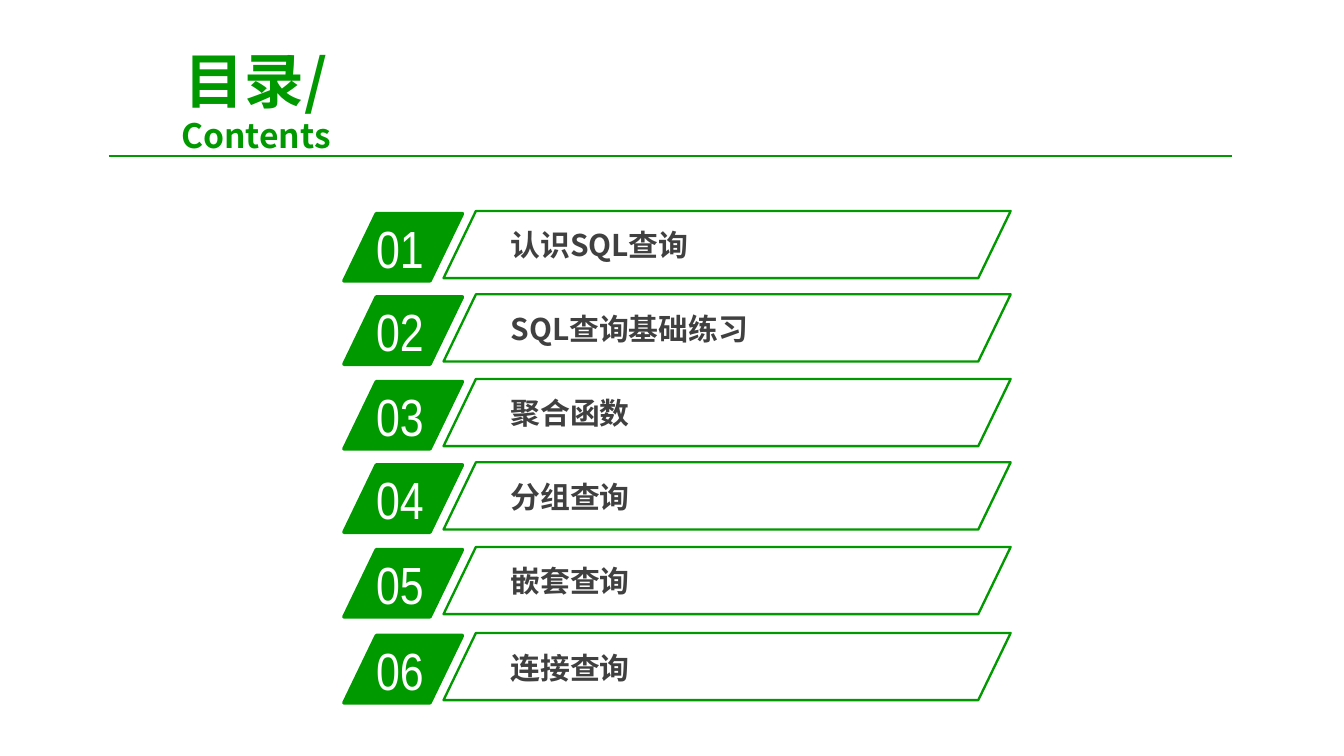
from lxml import etree
from pptx import Presentation
from pptx.dml.color import RGBColor
from pptx.enum.shapes import MSO_CONNECTOR, MSO_SHAPE
from pptx.enum.text import MSO_ANCHOR, PP_ALIGN
from pptx.oxml.ns import qn
from pptx.util import Inches, Pt

PARALLELOGRAM = MSO_SHAPE.PARALLELOGRAM
STRAIGHT = MSO_CONNECTOR.STRAIGHT
CENTER, LEFT = PP_ALIGN.CENTER, PP_ALIGN.LEFT
MIDDLE, TOP = MSO_ANCHOR.MIDDLE, MSO_ANCHOR.TOP

GREEN, WHITE, DARK = "009900", "FFFFFF", "404040"
CJK_FONT, NUMBER_FONT = "Noto Sans CJK SC", "Arial Narrow"
SLANT = 0.482

# Topic and the top of its bar
TOPICS = [
    ("认识SQL查询", 1.57),
    ("SQL查询基础练习", 2.19),
    ("聚合函数", 2.82),
    ("分组查询", 3.44),
    ("嵌套查询", 4.07),
    ("连接查询", 4.71),
]


def color(value):
    return RGBColor.from_string(value)


def style_run(run, size, font, fill, bold):
    run.font.size = Pt(size)
    run.font.name = font
    run.font.bold = bold
    run.font.color.rgb = color(fill)
    east_asian = etree.SubElement(run.font._element, qn("a:ea"))
    east_asian.set("typeface", font)


def add_text(shapes, lines, left, top, width, height, *, font, fill, bold=False,
             align=LEFT, anchor=TOP, inset=(0.1, 0.05), before=None):
    """Write (text, size) lines as one paragraph with line breaks."""
    box = shapes.add_textbox(Inches(left), Inches(top), Inches(width), Inches(height))
    frame = box.text_frame
    frame.word_wrap = True
    frame.vertical_anchor = anchor
    frame.margin_left = frame.margin_right = Inches(inset[0])
    frame.margin_top = frame.margin_bottom = Inches(inset[1])
    paragraph = frame.paragraphs[0]
    paragraph.alignment = align
    paragraph.space_before = before
    for index, (text, size) in enumerate(lines):
        if index:
            paragraph.add_line_break()
        run = paragraph.add_run()
        run.text = text
        style_run(run, size, font, fill, bold)


def add_parallelogram(shapes, left, top, width, height, line_width, fill=None):
    shape = shapes.add_shape(PARALLELOGRAM, Inches(left), Inches(top),
                             Inches(width), Inches(height))
    shape.adjustments[0] = SLANT
    shape.shadow.inherit = False
    shape.line.color.rgb = color(GREEN)
    shape.line.width = Pt(line_width)
    if fill:
        shape.fill.solid()
        shape.fill.fore_color.rgb = color(fill)
    else:
        shape.fill.background()


def add_header(slide, left, top, width):
    add_text(slide.shapes, [("目录/", 32), ("Contents", 18)],
             left, top, 2.47, 0.54, font=CJK_FONT, fill=GREEN, bold=True,
             align=CENTER, anchor=MIDDLE, before=Pt(5))
    rule_left, rule_top = Inches(left + 0.14), Inches(top + 0.69)
    rule = slide.shapes.add_connector(STRAIGHT, rule_left, rule_top,
                                      rule_left + Inches(width), rule_top)
    rule.line.color.rgb = color(GREEN)
    rule.line.width = Pt(0.75)
    etree.SubElement(rule._element.spPr, qn("a:effectLst"))


def add_topic(slide, number, topic, left, top):
    badge = slide.shapes.add_group_shape().shapes
    add_parallelogram(badge, left, top + 0.02, 0.88, 0.5, 2, fill=GREEN)
    add_text(badge, [(f"{number:02}", 28)], left + 0.14, top - 0.01, 0.84, 0.57,
             font=NUMBER_FONT, fill=WHITE)

    bar = slide.shapes.add_group_shape().shapes
    add_text(bar, [(topic, 16)], left + 1.17, top + 0.08, 3.37, 0.35,
             font=CJK_FONT, fill=DARK, bold=True, inset=(0.07, 0.04))
    add_parallelogram(bar, left + 0.74, top, 4.22, 0.5, 1.25)


def main():
    presentation = Presentation()
    presentation.slide_width = Inches(10)
    presentation.slide_height = Inches(10) * 9 // 16
    slide = presentation.slides.add_slide(presentation.slide_layouts[6])

    add_header(slide, 0.67, 0.47, 8.36)
    for number, (topic, top) in enumerate(TOPICS, start=1):
        add_topic(slide, number, topic, 2.56, top)

    presentation.save("out.pptx")


if __name__ == "__main__":
    main()
